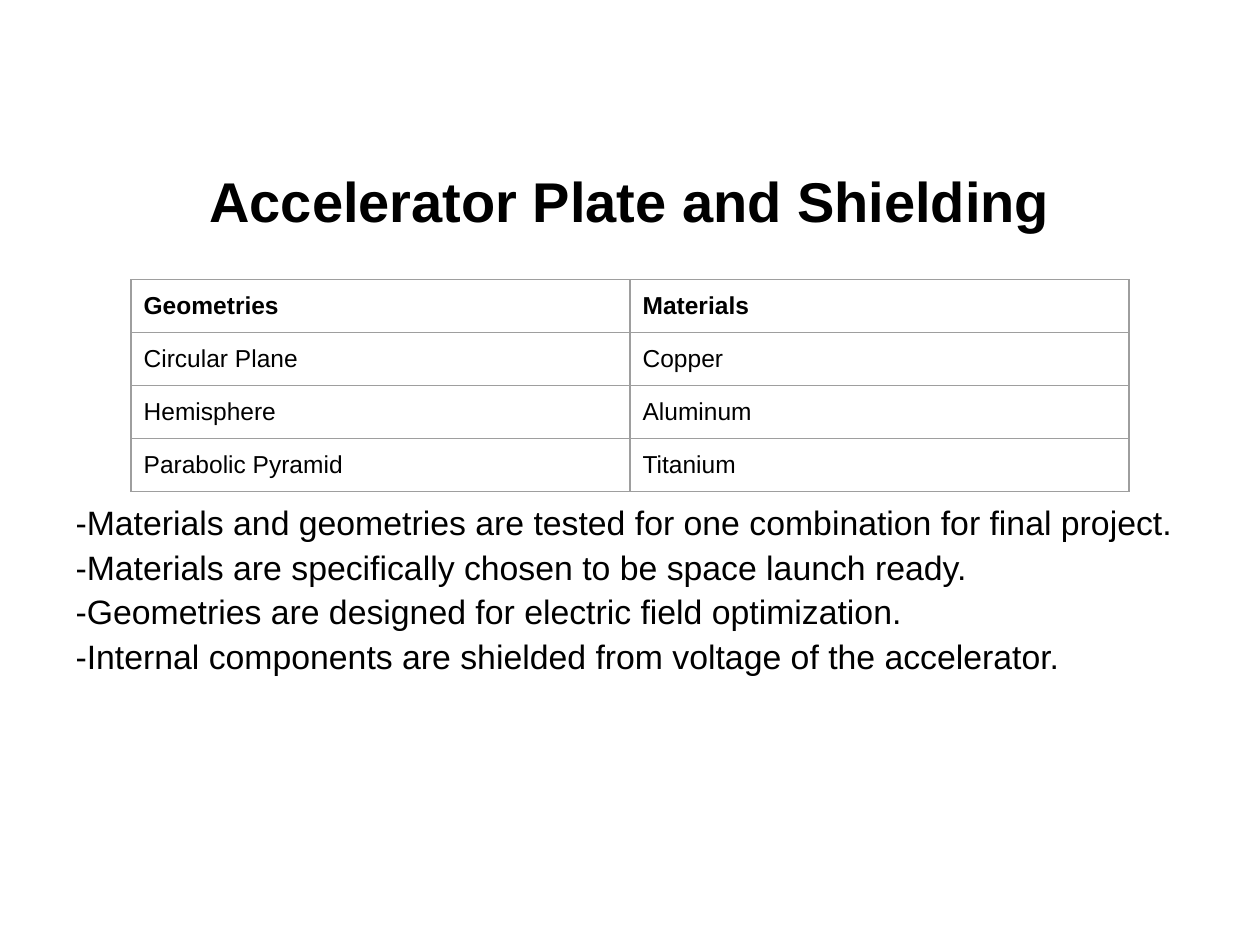
from lxml import etree
from pptx import Presentation
from pptx.dml.color import RGBColor
from pptx.enum.text import MSO_ANCHOR, MSO_AUTO_SIZE, PP_ALIGN
from pptx.oxml.ns import qn
from pptx.util import Inches, Pt

CENTER, LEFT = PP_ALIGN.CENTER, PP_ALIGN.LEFT
MIDDLE, TOP = MSO_ANCHOR.MIDDLE, MSO_ANCHOR.TOP
NO_FIT = MSO_AUTO_SIZE.NONE
FONT = "Arial"
COLORS = {"text": "000000", "border": "9E9E9E", "background": "FFFFFF"}

TITLE = "Accelerator Plate and Shielding"
ROWS = [
    ("Geometries", "Materials"),
    ("Circular Plane", "Copper"),
    ("Hemisphere", "Aluminum"),
    ("Parabolic Pyramid", "Titanium"),
]
NOTES = [
    "-Materials and geometries are tested for one combination for final project.",
    "-Materials are specifically chosen to be space launch ready.",
    "-Geometries are designed for electric field optimization.",
    "-Internal components are shielded from voltage of the accelerator.",
]


def add_run(p, text, size, bold=False):
    r = p.add_run()
    r.text = text
    r.font.name = FONT
    r.font.size = Pt(size)
    r.font.bold = bold
    r.font.color.rgb = RGBColor.from_string(COLORS["text"])


def place(sp, box, anchor):
    sp.left, sp.top, sp.width, sp.height = (Inches(v) for v in box)
    tf = sp.text_frame
    tf.word_wrap = True
    tf.auto_size = NO_FIT
    tf.vertical_anchor = anchor
    tf.margin_left = tf.margin_right = Inches(0.1)
    tf.margin_top = tf.margin_bottom = Inches(0.05)
    return tf


def fill_title(sp, box):
    p = place(sp, box, MIDDLE).paragraphs[0]
    p.alignment = CENTER
    add_run(p, TITLE, 32, True)


def fill_notes(sp, box):
    tf = place(sp, box, TOP)
    for i, text in enumerate(NOTES):
        p = tf.add_paragraph() if i else tf.paragraphs[0]
        pPr = p._p.get_or_add_pPr()
        pPr.set("marL", "0")
        pPr.set("indent", "0")
        etree.SubElement(pPr, qn("a:buNone"))
        p.alignment = LEFT
        p.line_spacing = 0.9
        p.space_before = Pt(4.6 if i else 0)
        add_run(p, text, 19.3)


def style_cell(cell):
    tcPr = cell._tc.get_or_add_tcPr()
    for side in ("lnL", "lnR", "lnT", "lnB"):
        ln = etree.SubElement(tcPr, qn(f"a:{side}"), w=str(Pt(0.75)))
        solid = etree.SubElement(ln, qn("a:solidFill"))
        etree.SubElement(solid, qn("a:srgbClr"), val=COLORS["border"])
    cell.fill.background()
    cell.margin_left = cell.margin_right = Inches(0.1)
    cell.margin_top = cell.margin_bottom = Inches(0.1)


def add_options_table(s, box):
    table = s.shapes.add_table(len(ROWS), len(ROWS[0]), *(Inches(v) for v in box)).table
    table.first_row = table.horz_banding = False
    for i, row in enumerate(ROWS):
        for j, text in enumerate(row):
            cell = table.cell(i, j)
            style_cell(cell)
            add_run(cell.text_frame.paragraphs[0], text, 14, i == 0)


def main():
    prs = Presentation()
    prs.slide_width, prs.slide_height = Inches(10), Inches(7.5)
    s = prs.slides.add_slide(prs.slide_layouts[1])
    s.background.fill.solid()
    s.background.fill.fore_color.rgb = RGBColor.from_string(COLORS["background"])
    fill_title(s.shapes.title, (0.5, 1.15, 9, 0.88))
    fill_notes(s.placeholders[1], (0.5, 3.97, 9, 2.26))
    add_options_table(s, (1.04, 2.22, 7.92, 1.68))
    prs.save("out.pptx")


if __name__ == "__main__":
    main()
